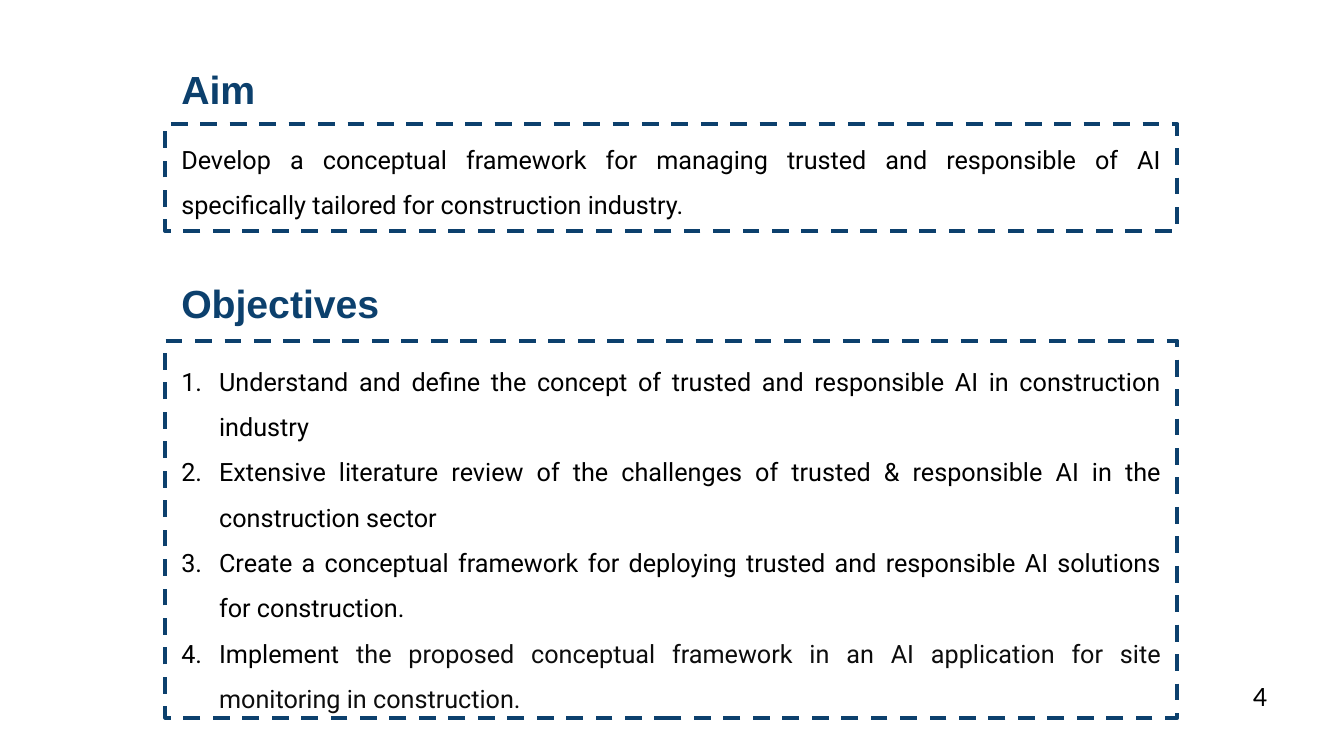
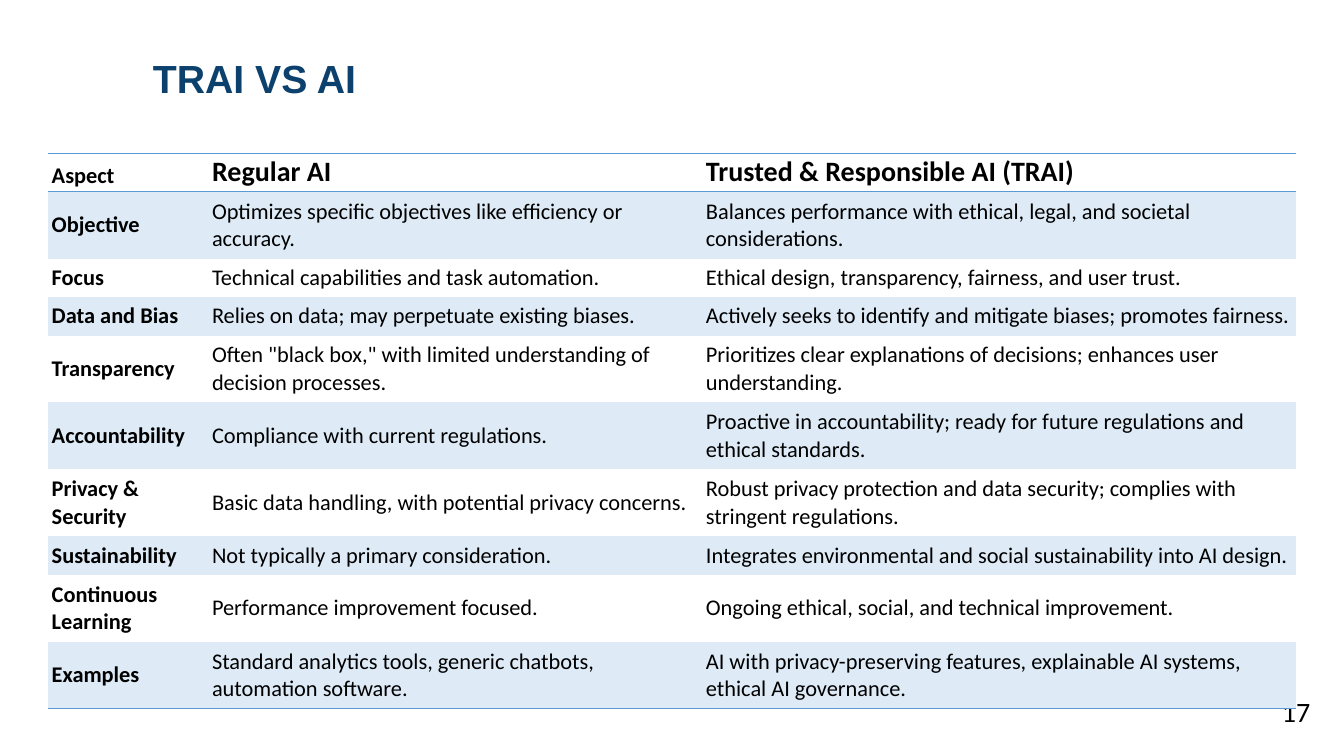
import pptx
import pptx.dml.color
import pptx.enum.dml
import pptx.enum.shapes
import pptx.enum.text
import pptx.oxml
import pptx.oxml.ns
import pptx.util

Pt = pptx.util.Pt
ALIGN = pptx.enum.text.PP_ALIGN
ANCHOR = pptx.enum.text.MSO_ANCHOR

HUES = {"navy": "0C406D", "black": "000000", "soft": "0D0D0D",
        "rule": "5B9BD5", "band": "DEEBF7"}
TITLE = {"name": "Arial", "size": Pt(28), "bold": True}
BODY = {"name": "Roboto", "size": Pt(18)}
PAGE = {"name": "Calibri", "size": Pt(20)}
HEAD = {"name": "Calibri", "size": Pt(20), "bold": True}
LABEL = {"name": "Calibri", "size": Pt(16), "bold": True}
CELL = {"name": "Calibri", "size": Pt(16), "bold": False}
TIGHT = {"margin_left": Pt(3), "margin_right": Pt(3),
         "margin_top": Pt(1.5), "margin_bottom": Pt(1.5)}
PLAIN_STYLE = "{2D5ABB26-0587-4C30-8999-92F81FD0307C}"

AIM = [[("Develop a conceptual framework for managing trusted and responsible of "
         "AI specifically tailored for construction industry.", "black")]]
GOALS = [
    [("Understand and define the concept of trusted and responsible AI in "
      "construction industry", "black")],
    [("Extensive literature review of the challenges of trusted & responsible "
      "AI in the construction sector", "black")],
    [("Create a conceptual framework for deploying trusted and responsible AI "
      "solutions for construction.", "black")],
    [("Implement ", "black"),
     ("the proposed conceptual framework in an AI application for site "
      "monitoring in construction.", "soft")],
]
ROWS = [
    ("Aspect", "Regular AI", "Trusted & Responsible AI (TRAI)"),
    ("Objective", "Optimizes specific objectives like efficiency or accuracy.",
     "Balances performance with ethical, legal, and societal considerations."),
    ("Focus", "Technical capabilities and task automation.",
     "Ethical design, transparency, fairness, and user trust."),
    ("Data and Bias", "Relies on data; may perpetuate existing biases.",
     "Actively seeks to identify and mitigate biases; promotes fairness."),
    ("Transparency",
     'Often "black box," with limited understanding of decision processes.',
     "Prioritizes clear explanations of decisions; enhances user understanding."),
    ("Accountability", "Compliance with current regulations.",
     "Proactive in accountability; ready for future regulations and ethical "
     "standards."),
    ("Privacy & Security",
     "Basic data handling, with potential privacy concerns.",
     "Robust privacy protection and data security; complies with stringent "
     "regulations."),
    ("Sustainability", "Not typically a primary consideration.",
     "Integrates environmental and social sustainability into AI design."),
    ("Continuous Learning", "Performance improvement focused.",
     "Ongoing ethical, social, and technical improvement."),
    ("Examples",
     "Standard analytics tools, generic chatbots, automation software.",
     "AI with privacy-preserving features, explainable AI systems, ethical AI "
     "governance."),
]
COLS = (114.5, 352.8, 424.8)
LOW, TALL = 27.5, 47.8
HEIGHTS = (LOW, TALL, LOW, LOW, TALL, TALL, TALL, LOW, TALL, TALL)


def hue(key):
    return pptx.dml.color.RGBColor.from_string(HUES[key])


def put(item, form):
    """Set each attribute named in form on item."""
    for name, value in form.items():
        setattr(item, name, value)


def write(para, text, form, key="black"):
    run = para.add_run()
    run.text = text
    put(run.font, form)
    run.font.color.rgb = hue(key)


def add_box(slide, box, anchor=ANCHOR.TOP):
    """Add a wrapping text box and return its text frame."""
    frame = slide.shapes.add_textbox(*map(Pt, box)).text_frame
    put(frame, {"word_wrap": True, "vertical_anchor": anchor})
    return frame


def add_title(slide, left, top, text):
    frame = add_box(slide, (left, top, 805, 67.7), ANCHOR.MIDDLE)
    para = frame.paragraphs[0]
    para.line_spacing = 0.9
    write(para, text, TITLE, "navy")


def add_page(slide, left, top, text):
    frame = add_box(slide, (left, top, 39.6, 31.7))
    write(frame.paragraphs[0], text, PAGE)


def number(para):
    """Give a paragraph an automatic number and a hanging indent."""
    props = para._p.get_or_add_pPr()
    props.set("marL", str(Pt(27)))
    props.set("indent", str(-Pt(27)))
    props.append(pptx.oxml.parse_xml(
        '<a:buAutoNum %s type="arabicPeriod"/>' % pptx.oxml.ns.nsdecls("a")))


def add_panel(slide, box, drop, paras, listed=False):
    """Add a dashed frame whose text starts drop points below its top."""
    left, top, width, height = box
    frame = add_box(slide, (left + 4.3, top + drop, width - 8.6, height - drop))
    for i, runs in enumerate(paras):
        para = frame.add_paragraph() if i else frame.paragraphs[0]
        put(para, {"alignment": ALIGN.JUSTIFY, "line_spacing": 1.5})
        if listed:
            number(para)
        for text, key in runs:
            write(para, text, BODY, key)
    edge = slide.shapes.add_shape(
        pptx.enum.shapes.MSO_SHAPE.RECTANGLE, *map(Pt, box))
    edge.shadow.inherit = False
    edge.fill.background()
    edge.line.color.rgb = hue("navy")
    put(edge.line, {"width": Pt(3),
                    "dash_style": pptx.enum.dml.MSO_LINE.DASH})


def rule(cell, sides):
    """Draw the cell borders named in sides, in the order T, B."""
    props = cell._tc.get_or_add_tcPr()
    for i, side in enumerate(sides):
        props.insert(i, pptx.oxml.parse_xml(
            '<a:ln%s %s w="%d"><a:solidFill><a:srgbClr val="%s"/>'
            '</a:solidFill></a:ln%s>' % (
                side, pptx.oxml.ns.nsdecls("a"), Pt(1), HUES["rule"], side)))


def fill_cell(cell, text, row, col):
    put(cell, TIGHT)
    cell.vertical_anchor = ANCHOR.MIDDLE if row else ANCHOR.BOTTOM
    if col == 0:
        form = LABEL
    else:
        form = CELL if row else HEAD
    write(cell.text_frame.paragraphs[0], text, form)
    if row % 2:
        cell.fill.solid()
        cell.fill.fore_color.rgb = hue("band")
    else:
        cell.fill.background()
    rule(cell, {0: "TB", len(ROWS) - 1: "B"}.get(row, ""))


def add_grid(slide, left, top):
    shape = slide.shapes.add_table(
        len(ROWS), len(COLS), Pt(left), Pt(top), Pt(sum(COLS)), Pt(sum(HEIGHTS)))
    table = shape.table
    put(table, {"first_row": False, "horz_banding": False})
    table._tbl.tblPr.find(pptx.oxml.ns.qn("a:tableStyleId")).text = PLAIN_STYLE
    for col, width in zip(table.columns, COLS):
        col.width = Pt(width)
    for i, texts in enumerate(ROWS):
        table.rows[i].height = Pt(HEIGHTS[i])
        for j, text in enumerate(texts):
            fill_cell(table.cell(i, j), text, i, j)


def goals_slide(slide):
    add_title(slide, 122.4, 31.5, "Aim")
    add_title(slide, 122.4, 184.5, "Objectives")
    add_panel(slide, (118.1, 88.6, 722.9, 76.3), 0, AIM)
    add_panel(slide, (118.1, 243.4, 722.9, 269.3), 3.6, GOALS, listed=True)
    add_page(slide, 887.8, 481, "4")


def versus_slide(slide):
    add_title(slide, 102.2, 23.8, "TRAI VS AI")
    add_page(slide, 908.6, 492.5, "17")
    add_grid(slide, 34, 109.4)


def main():
    deck = pptx.Presentation()
    put(deck, {"slide_width": Pt(960), "slide_height": Pt(540)})
    for build in (goals_slide, versus_slide):
        build(deck.slides.add_slide(deck.slide_layouts[6]))
    deck.save("out.pptx")


if __name__ == "__main__":
    main()
